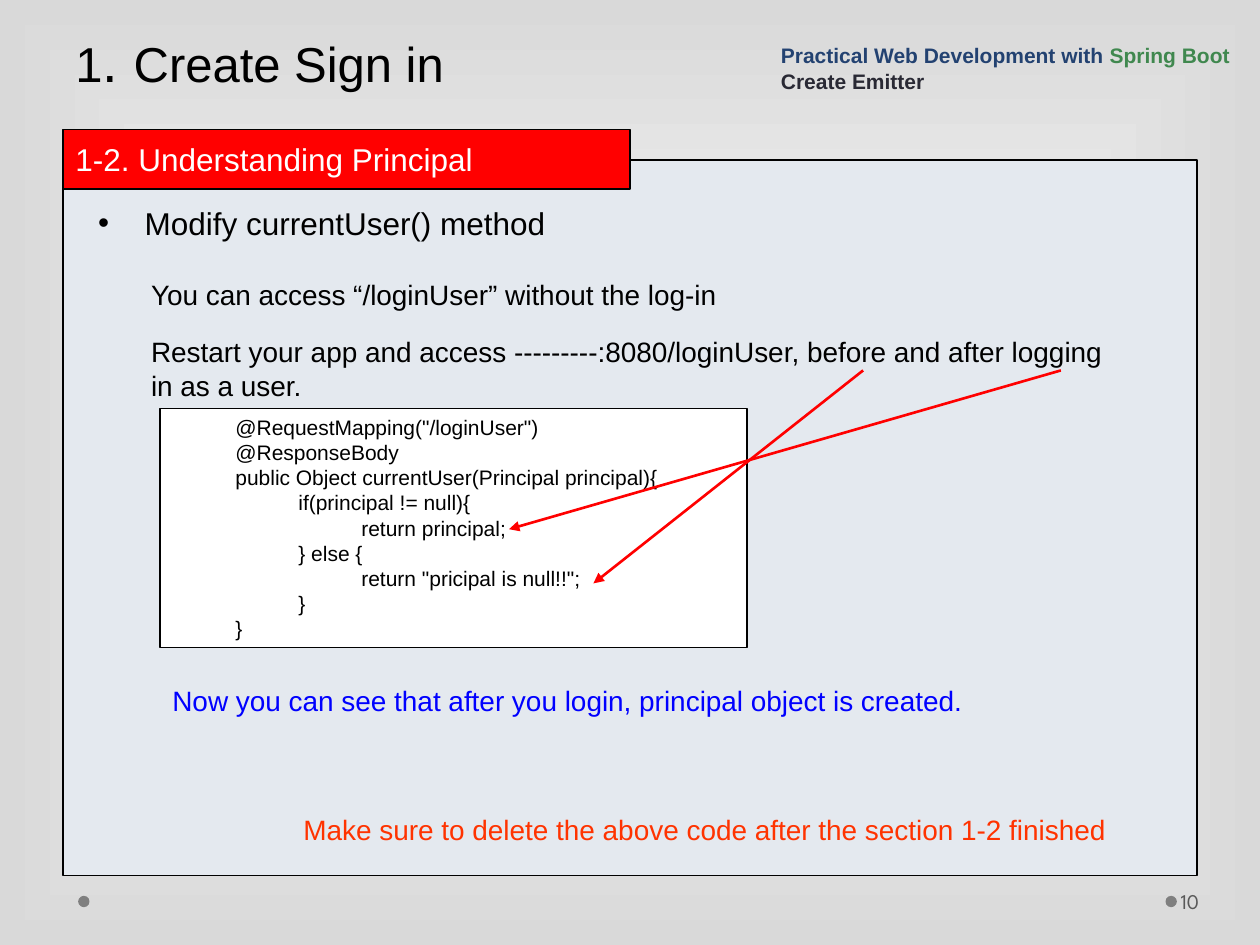
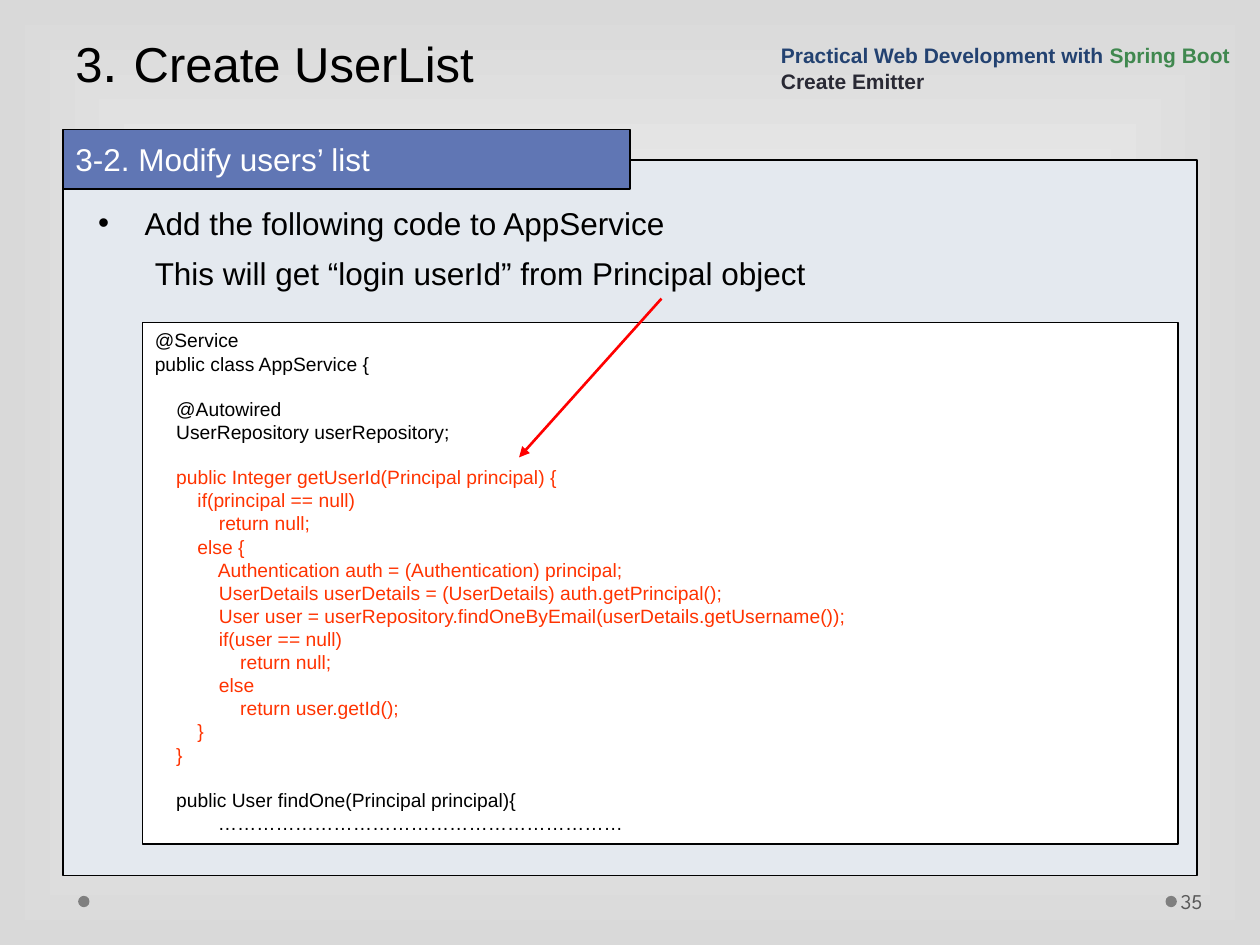
"""Build two lesson slides about the Principal object in Spring Boot."""
import pptx
import pptx.dml.color
import pptx.enum.shapes
import pptx.enum.text
import pptx.oxml.ns
import pptx.util
from lxml import etree

Inches = pptx.util.Inches
Pt = pptx.util.Pt
qn = pptx.oxml.ns.qn
SHAPE = pptx.enum.shapes.MSO_SHAPE
ANCHOR = pptx.enum.text.MSO_ANCHOR

BLACK, WHITE, RED, ORANGE, BLUE = "000000", "FFFFFF", "FF0000", "FF3300", "0000FF"
PANEL, SLATE, DOT, PAGE_GREY = "E4E9EF", "6076B4", "7F7F7F", "595959"
NAVY, GREEN, CHARCOAL = "234271", "40884F", "292934"

LESSONS = [
    {
        "number": "1",
        "title": "Create Sign in",
        "section": "1-2. Understanding Principal",
        "section_fill": RED,
        "bullet": "Modify currentUser() method",
        "notes": [
            ((1.1, 2.15, 7.79, 0.37), "You can access “/loginUser” without the log-in", 16, BLACK),
            ((1.1, 2.61, 7.79, 0.64), "Restart your app and access ---------:8080/loginUser, "
             "before and after logging in as a user.", 16, BLACK),
            ((1.27, 5.38, 7.03, 0.37), "Now you can see that after you login, "
             "principal object is created.", 16, BLUE),
            ((2.31, 6.4, 7.03, 0.37), "Make sure to delete the above code after "
             "the section 1-2 finished", 16, ORANGE),
        ],
        "code_place": (1.27, 3.24, 4.66, 1.9),
        "code_size": 12,
        "code_groups": [
            (BLACK, [
                "\t@RequestMapping(\"/loginUser\")",
                "\t@ResponseBody",
                "\tpublic Object currentUser(Principal principal){",
                "\t\tif(principal != null){",
                "\t\t\treturn principal;",
                "\t\t} else {",
                "\t\t\treturn \"pricipal is null!!\";",
                "\t\t}",
                "\t}",
            ]),
        ],
        "arrows": [(6.85, 2.94, 4.71, 4.63), (8.42, 2.94, 4.04, 4.2)],
        "page": "10",
    },
    {
        "number": "3",
        "title": "Create UserList",
        "section": "3-2. Modify users’ list",
        "section_fill": SLATE,
        "bullet": "Add the following code to AppService",
        "notes": [
            ((1.13, 1.97, 8.22, 0.4), "This will get “login userId” from Principal object", 18, BLACK),
        ],
        "code_place": (1.13, 2.56, 8.22, 4.14),
        "code_size": 11,
        "code_groups": [
            (BLACK, [
                "@Service",
                "public class AppService {",
            ]),
            (BLACK, [
                "    @Autowired",
                "    UserRepository userRepository;",
            ]),
            (ORANGE, [
                "    public Integer getUserId(Principal principal) {",
                "        if(principal == null)",
                "            return null;",
                "        else {",
                "            Authentication auth = (Authentication) principal;",
                "            UserDetails userDetails = (UserDetails) auth.getPrincipal();",
                "            User user = userRepository.findOneByEmail(userDetails.getUsername());",
                "            if(user == null)",
                "                return null;",
                "            else",
                "                return user.getId();",
                "        }",
                "    }",
            ]),
            (BLACK, [
                "    public User findOne(Principal principal){",
                "    \t………………………………………………………",
            ]),
        ],
        "arrows": [(5.25, 2.37, 4.12, 3.63)],
        "page": "35",
    },
]


def paint(target, hex_color):
    """Give a fill or font colour format a solid colour."""
    if hasattr(target, "solid"):
        target.solid()
        target = target.fore_color
    target.rgb = pptx.dml.color.RGBColor.from_string(hex_color)


def add_box(slide, place, lines=(), fill=None, outline=BLACK, kind=SHAPE.RECTANGLE, **frame_format):
    """Add a filled shape or plain text box; a line is a list of (text, size, colour, font format)."""
    place = [Inches(length) for length in place]
    if fill:
        shape = slide.shapes.add_shape(kind, *place)
        shape.shadow.inherit = False
        paint(shape.fill, fill)
        if outline:
            paint(shape.line.fill, outline)
            shape.line.width = Pt(0.75)
        else:
            shape.line.fill.background()
    else:
        shape = slide.shapes.add_textbox(*place)
    frame = shape.text_frame
    for name, value in {"word_wrap": True, "vertical_anchor": ANCHOR.TOP, **frame_format}.items():
        setattr(frame, name, value)
    for index, runs in enumerate(lines):
        paragraph = frame.add_paragraph() if index else frame.paragraphs[0]
        paragraph.alignment = pptx.enum.text.PP_ALIGN.LEFT
        for text, size, hex_color, font_format in runs:
            run = paragraph.add_run()
            run.text = text
            for name, value in {"name": "Arial", "size": Pt(size), **font_format}.items():
                setattr(run.font, name, value)
            paint(run.font.color, hex_color)
    return shape


presentation = pptx.Presentation()
presentation.slide_width = Inches(10)
presentation.slide_height = Inches(7.5)

master = presentation.slide_master
master.background.fill.gradient()
for stop, hex_color in zip(master.background.fill.gradient_stops, (WHITE, "D9D9D9")):
    paint(stop.color, hex_color)
for stop, position in zip(master.background.fill.gradient_stops, (0, 1)):
    stop.position = position
gradient = next(master.element.iter(qn("a:gradFill")))
gradient.remove(gradient.find(qn("a:lin")))
gradient_shape = etree.SubElement(gradient, qn("a:path"), {"path": "rect"})
etree.SubElement(gradient_shape, qn("a:fillToRect"), {side: "50000" for side in "ltrb"})

for lesson in LESSONS:
    slide = presentation.slides.add_slide(presentation.slide_layouts[6])

    for dot_left in (9.25, 0.62):
        add_box(slide, (dot_left, 7.11, 0.09, 0.09), fill=DOT, outline=None, kind=SHAPE.OVAL)
    add_box(slide, (9.34, 6.95, 0.61, 0.4),
            [[(lesson["page"], 12, PAGE_GREY, {"name": "League Spartan"})]],
            vertical_anchor=ANCHOR.MIDDLE, margin_left=Inches(0.03), margin_right=Inches(0.05))

    add_box(slide, (0.5, 1.27, 9, 5.68), fill=PANEL)
    add_box(slide, (0.5, 0, 9, 0.79),
            [[(lesson["number"], 28, BLACK, {}), (". ", 32, BLACK, {}), (lesson["title"], 28, BLACK, {})]],
            vertical_anchor=ANCHOR.BOTTOM)
    add_box(slide, (0.5, 1.03, 4.5, 0.47), [[(lesson["section"], 18, WHITE, {})]],
            fill=lesson["section_fill"], vertical_anchor=ANCHOR.MIDDLE)
    add_box(slide, (6.1, 0.24, 3.9, 0.55),
            [[("Practical Web Development with ", 12, NAVY, {"bold": True}),
              ("Spring Boot", 12, GREEN, {"bold": True})],
             [("Create Emitter", 12, CHARCOAL, {"bold": True})]],
            vertical_anchor=ANCHOR.BOTTOM)

    bullet_box = add_box(slide, (0.68, 1.57, 7.74, 0.4), [[(lesson["bullet"], 18, BLACK, {})]])
    bullet_properties = bullet_box.text_frame.paragraphs[0]._p.get_or_add_pPr()
    bullet_properties.set("marL", str(Inches(0.37)))
    bullet_properties.set("indent", str(-Inches(0.37)))
    etree.SubElement(bullet_properties, qn("a:buFont"), {"typeface": "Arial"})
    etree.SubElement(bullet_properties, qn("a:buChar"), {"char": "•"})

    for place, text, size, hex_color in lesson["notes"]:
        add_box(slide, place, [[(text, size, hex_color, {})]])

    code_lines = [[(text, lesson["code_size"], hex_color, {})]
                  for hex_color, group in lesson["code_groups"] for text in group]
    code_box = add_box(slide, lesson["code_place"], code_lines, fill=WHITE)
    code_paragraphs = code_box.text_frame.paragraphs
    group_start = 0
    for hex_color, group in lesson["code_groups"]:
        if group_start:
            code_paragraphs[group_start].space_before = Pt(lesson["code_size"] * 1.15)
        group_start += len(group)
    for paragraph in code_paragraphs:
        tab_list = etree.SubElement(paragraph._p.get_or_add_pPr(), qn("a:tabLst"))
        for step in range(1, 4):
            etree.SubElement(tab_list, qn("a:tab"), {"pos": str(Inches(0.5 * step)), "algn": "l"})

    for arrow in lesson["arrows"]:
        connector = slide.shapes.add_connector(
            pptx.enum.shapes.MSO_CONNECTOR.STRAIGHT, *[Inches(length) for length in arrow])
        paint(connector.line.fill, RED)
        connector.line.width = Pt(1.5)
        etree.SubElement(connector.line._get_or_add_ln(), qn("a:tailEnd"), {"type": "triangle"})
        etree.SubElement(connector._element.spPr, qn("a:effectLst"))

presentation.save("out.pptx")
